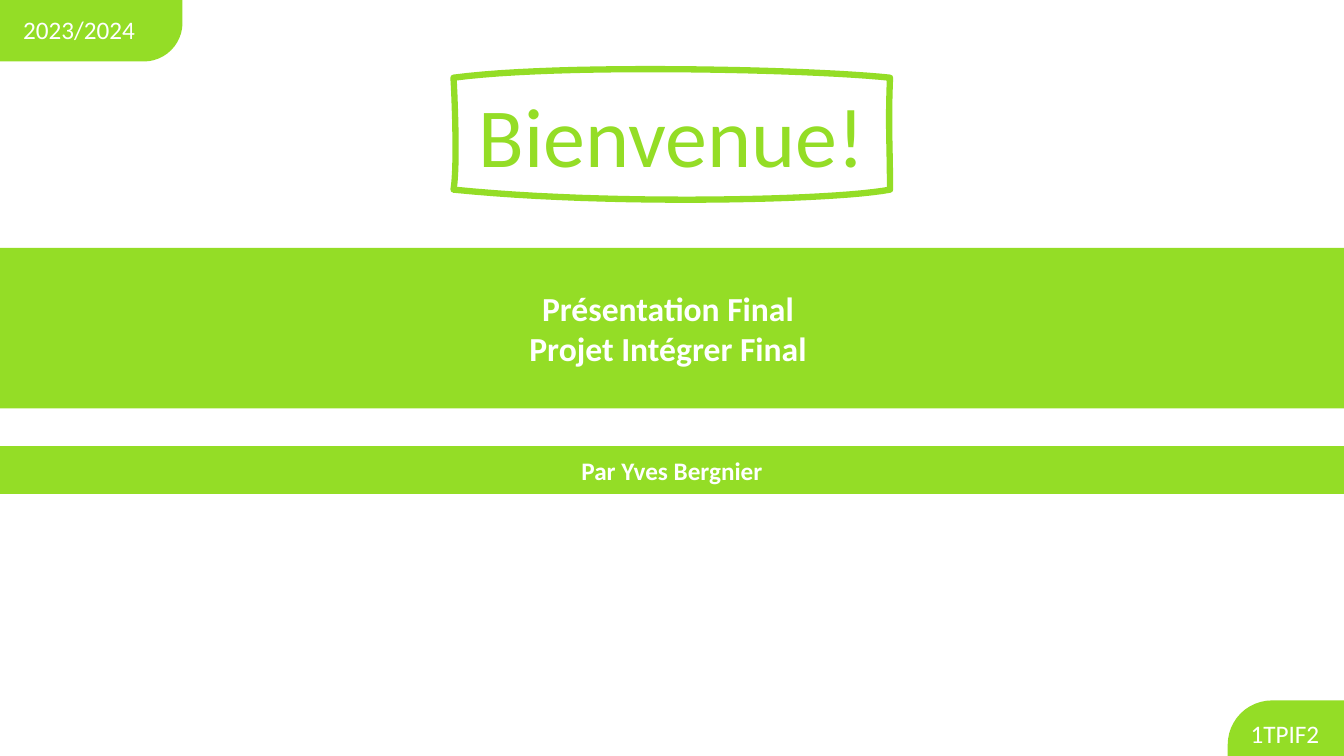
from pptx import Presentation
from pptx.dml.color import RGBColor
from pptx.enum.shapes import MSO_SHAPE
from pptx.enum.text import MSO_ANCHOR, PP_ALIGN
from pptx.util import Cm, Pt

GREEN = "94DD26"
WHITE = "FFFFFF"
SLIDE_WIDTH = 33.87
FRAME_START = (11.43, 1.96)
FRAME_CURVES = [
    [(14.12, 1.6), (20.47, 1.75), (22.43, 1.96)],
    [(22.38, 3.28), (22.43, 3.53), (22.43, 4.78)],
    [(21.03, 5.05), (15.37, 5.18), (11.43, 4.78)],
    [(11.53, 4.22), (11.46, 2.46), FRAME_START],
]
CURVE_STEPS = 24


def paint(color_format, color):
    color_format.rgb = RGBColor.from_string(color)


def write(frame, lines, size, color=WHITE, bold=False,
          align=PP_ALIGN.CENTER, anchor=MSO_ANCHOR.MIDDLE):
    frame.word_wrap = True
    frame.vertical_anchor = anchor
    for index, line in enumerate(lines):
        paragraph = frame.paragraphs[0] if index == 0 else frame.add_paragraph()
        paragraph.alignment = align
        run = paragraph.add_run()
        run.text = line
        run.font.name = "Calibri"
        run.font.size = Pt(size)
        run.font.bold = bold
        paint(run.font.color, color)


def add_green_shape(slide, preset, left, top, width, height):
    panel = slide.shapes.add_shape(preset, Cm(left), Cm(top), Cm(width), Cm(height))
    panel.shadow.inherit = False
    panel.fill.solid()
    paint(panel.fill.fore_color, GREEN)
    panel.line.fill.background()
    return panel


def add_band(slide, top, height, lines, size, preset=MSO_SHAPE.RECTANGLE):
    band = add_green_shape(slide, preset, 0, top, SLIDE_WIDTH, height)
    write(band.text_frame, lines, size, bold=True)
    return band


def add_corner_tab(slide, left, top, width, height, label, anchor):
    tab = add_green_shape(slide, MSO_SHAPE.ROUNDED_RECTANGLE, left, top, width, height)
    tab.adjustments[0] = 0.4
    write(tab.text_frame, [label], 18, align=PP_ALIGN.LEFT, anchor=anchor)
    return tab


def curve_points(start, first_control, second_control, end):
    for step in range(1, CURVE_STEPS + 1):
        t = step / CURVE_STEPS
        weights = ((1 - t) ** 3, 3 * t * (1 - t) ** 2, 3 * t ** 2 * (1 - t), t ** 3)
        corners = (start, first_control, second_control, end)
        yield tuple(Cm(sum(w * c[axis] for w, c in zip(weights, corners)))
                    for axis in (0, 1))


def add_title_frame(slide):
    outline = slide.shapes.build_freeform(*map(Cm, FRAME_START))
    start = FRAME_START
    for curve in FRAME_CURVES:
        outline.add_line_segments(curve_points(start, *curve), close=False)
        start = curve[-1]
    outline.add_line_segments([], close=True)
    frame = outline.convert_to_shape()
    frame.shadow.inherit = False
    frame.fill.background()
    frame.line.width = Pt(4.5)
    paint(frame.line.color, GREEN)


def place_title(slide, text):
    title = slide.shapes.title
    title.left, title.top, title.width, title.height = map(Cm, (11.43, 1.96, 11, 2.82))
    write(title.text_frame, [text], 60, color=GREEN)


def main():
    """Build the welcome slide and save it."""
    deck = Presentation()
    deck.slide_width, deck.slide_height = Cm(SLIDE_WIDTH), Cm(19.05)
    slide = deck.slides.add_slide(deck.slide_layouts[5])

    project = add_band(slide, 6.25, 4.04,
                       ["Présentation Final", "Projet Intégrer Final"], 24)
    project.text_frame.margin_right = Cm(0.45)

    year = add_corner_tab(slide, -1.17, -0.89, 5.77, 2.44, "2023/2024", MSO_ANCHOR.MIDDLE)
    year.text_frame.margin_left = Cm(1.47)
    year.text_frame.margin_top = Cm(0.84)
    year.text_frame.margin_bottom = Cm(0)

    add_band(slide, 11.25, 1.19, ["Par Yves Bergnier"], 18, MSO_SHAPE.FLOWCHART_PROCESS)
    add_corner_tab(slide, 30.94, 17.65, 5.87, 2.79, "1TPIF2", MSO_ANCHOR.TOP)
    add_title_frame(slide)
    place_title(slide, "Bienvenue!")
    deck.save("out.pptx")


if __name__ == "__main__":
    main()
